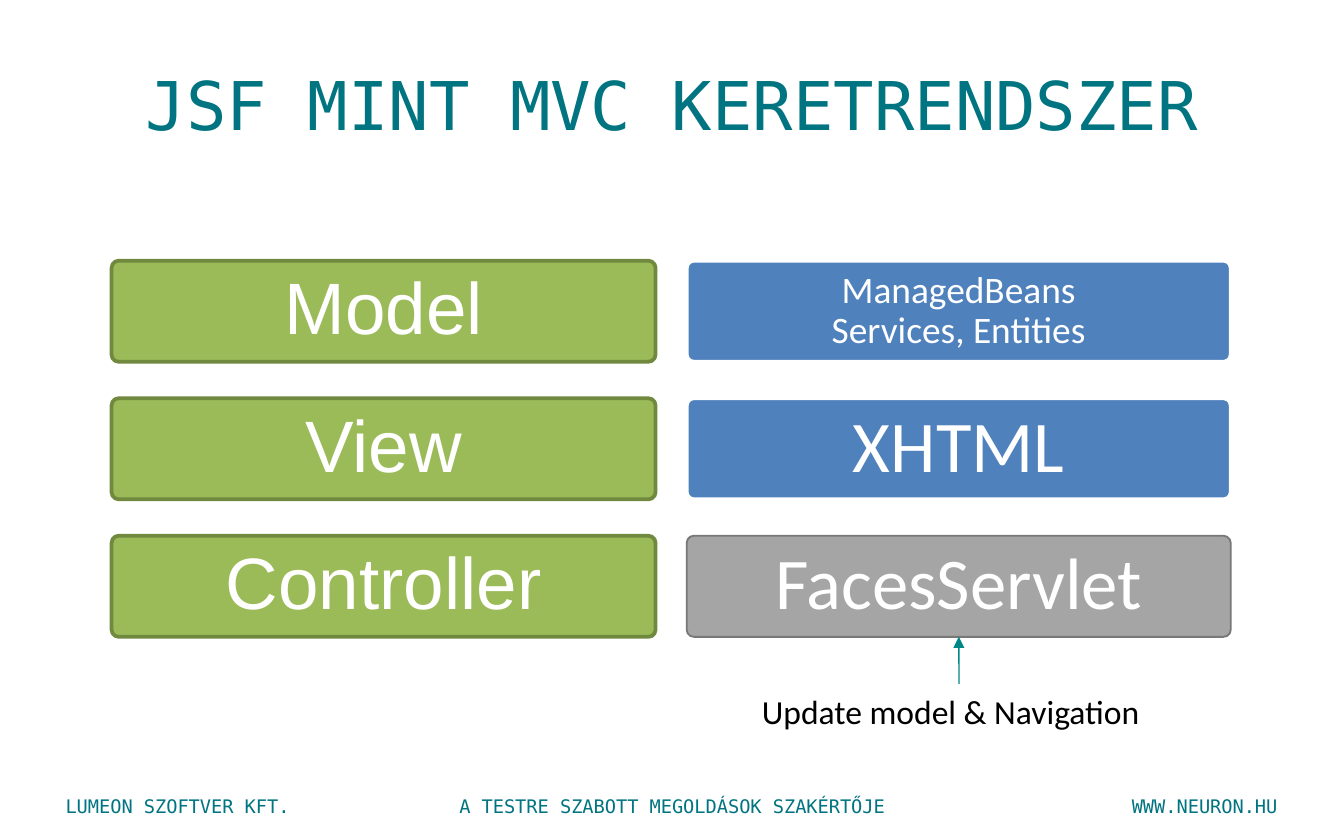
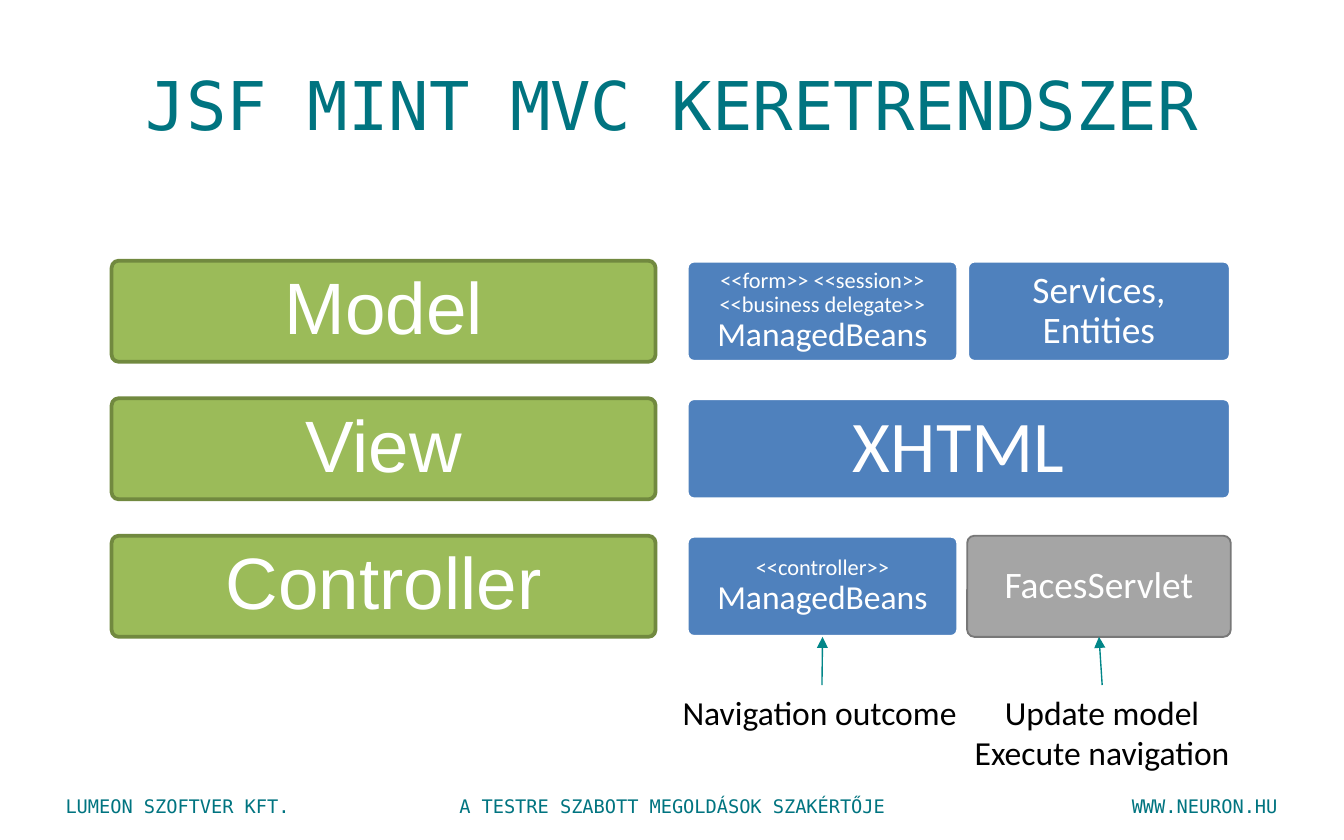
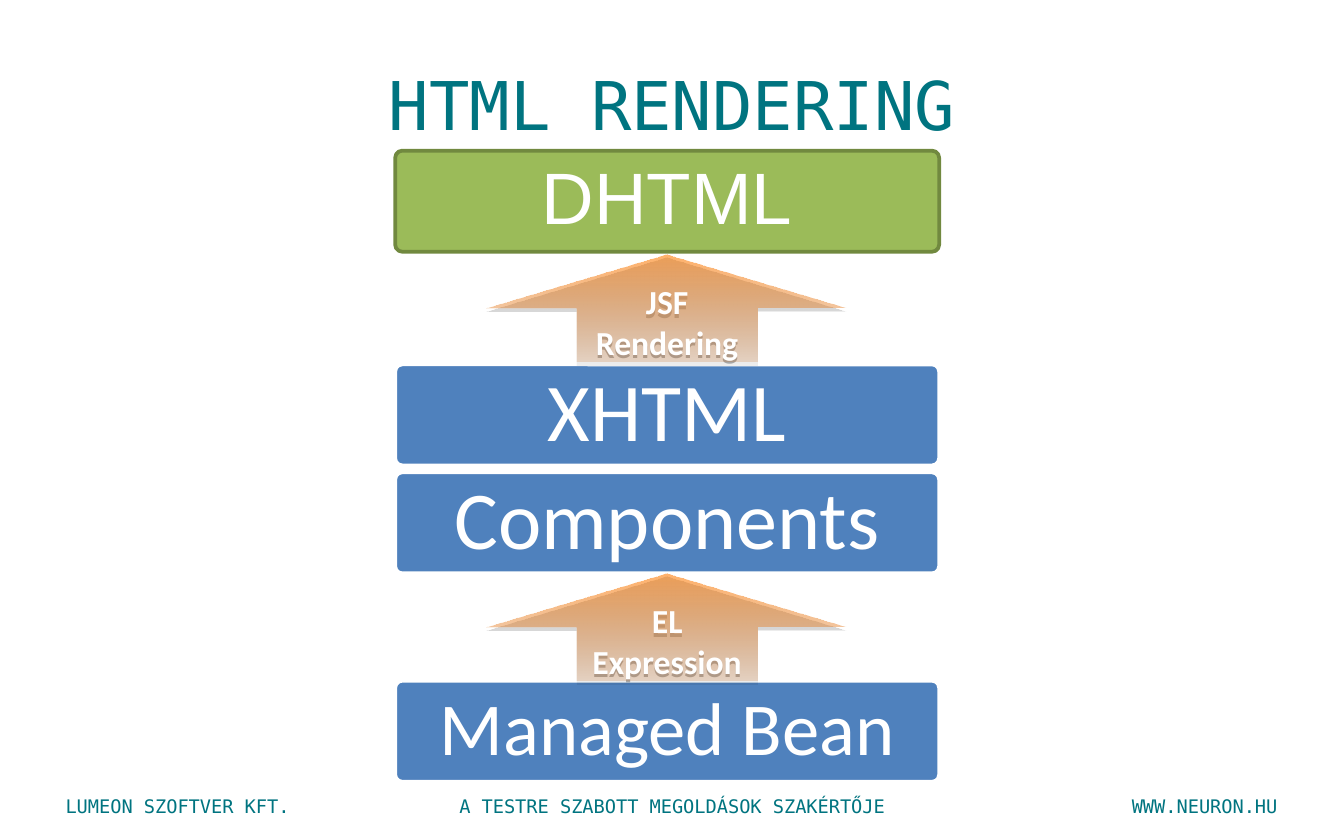
from dataclasses import dataclass

from lxml.etree import SubElement
from pptx import Presentation
from pptx.dml.color import RGBColor
from pptx.enum.shapes import MSO_CONNECTOR, MSO_SHAPE
from pptx.enum.text import MSO_ANCHOR, PP_ALIGN
from pptx.oxml.ns import qn
from pptx.util import Cm, Pt

TEAL = RGBColor(0x00, 0x74, 0x80)
ARROW_TEAL = RGBColor(0x01, 0x86, 0x88)
GREEN = RGBColor(0x9B, 0xBB, 0x59)
DARK_GREEN = RGBColor(0x71, 0x89, 0x3F)
BLUE = RGBColor(0x4F, 0x81, 0xBD)
GRAY = RGBColor(0xA5, 0xA5, 0xA5)
DARK_GRAY = RGBColor(0x78, 0x78, 0x78)
BROWN = RGBColor(0xCB, 0x6C, 0x1D)
ORANGE = RGBColor(0xFF, 0x8F, 0x2A)
WHITE = RGBColor(0xFF, 0xFF, 0xFF)
BLACK = RGBColor(0x00, 0x00, 0x00)

MONO = "DejaVu Sans Mono"
SANS = "Calibri"

# fill, line, line width, font, inset in cm, space after
GREEN_STYLE = (GREEN, DARK_GREEN, 2, "Arial", 0.48, 16)
BLUE_STYLE = (BLUE, WHITE, 2, SANS, 0.53, 18)
GRAY_STYLE = (GRAY, DARK_GRAY, 1, SANS, 0.53, 18)

BLOCK_WIDTH, BLOCK_HEIGHT = 10.28, 1.91
ROW_PITCH = 2.6
ARROW_WIDTH, ARROW_HEIGHT = 6.83, 2.03


@dataclass
class Box:
    """A rectangle in centimetres."""
    left: float
    top: float
    width: float
    height: float

    def lengths(self):
        return Cm(self.left), Cm(self.top), Cm(self.width), Cm(self.height)


def write(shape, *lines, size=18, font=SANS, color=BLACK, bold=False,
          align=PP_ALIGN.CENTER, anchor=MSO_ANCHOR.TOP, wrap=True,
          inset=None, spacing=None, after=None):
    """Write one paragraph; a line is a text, or a (text, size) pair."""
    frame = shape.text_frame
    frame.word_wrap = wrap
    frame.vertical_anchor = anchor
    if inset is not None:
        frame.margin_left = frame.margin_right = Cm(inset)
        frame.margin_top = frame.margin_bottom = Cm(inset)
    para = frame.paragraphs[0]
    para.alignment = align
    if spacing:
        para.line_spacing = spacing
    if after:
        para.space_after = Pt(after)
    for number, line in enumerate(lines):
        text, points = (line, size) if isinstance(line, str) else line
        span = para.add_run()
        span.text = text
        span.font.size = Pt(points)
        span.font.name = font
        span.font.bold = bold
        span.font.color.rgb = color
        if number < len(lines) - 1:
            line_break = SubElement(para._p, qn("a:br"))
            SubElement(line_break, qn("a:rPr"), sz=str(points * 100))


def add_text(page, box, *lines, **text_format):
    shape = page.shapes.add_textbox(*box.lengths())
    write(shape, *lines, **text_format)
    return shape


def add_block(page, box, style, *lines, size=39):
    fill, line, line_width, font, inset, after = style
    block = page.shapes.add_shape(MSO_SHAPE.ROUNDED_RECTANGLE, *box.lengths())
    block.adjustments[0] = 0.07
    block.shadow.inherit = False
    block.fill.solid()
    block.fill.fore_color.rgb = fill
    block.line.color.rgb = line
    block.line.width = Pt(line_width)
    write(block, *lines, size=size, font=font, color=WHITE, inset=inset,
          anchor=MSO_ANCHOR.MIDDLE, spacing=0.9, after=after)
    return block


def add_up_arrow(page, box, text):
    """Add a block arrow that fades towards its foot."""
    arrow = page.shapes.add_shape(MSO_SHAPE.UP_ARROW, *box.lengths())
    arrow.line.fill.background()
    arrow.fill.gradient()
    arrow.fill.gradient_angle = 90
    for stop, color in zip(arrow.fill.gradient_stops, (BROWN, ORANGE)):
        stop.color.rgb = color
    properties = arrow._element.spPr
    for color, opacity in zip(properties.iter(qn("a:srgbClr")), (20, 70)):
        SubElement(color, qn("a:alpha"), val=str(opacity * 1000))
    arrow.shadow.inherit = False
    shadow = SubElement(properties.find(qn("a:effectLst")), qn("a:outerShdw"),
                        blurRad="0", dist=str(Pt(1.8)), dir="5400000",
                        rotWithShape="0")
    shadow_color = SubElement(shadow, qn("a:srgbClr"), val="000000")
    SubElement(shadow_color, qn("a:alpha"), val="35000")
    write(arrow, text, color=WHITE, bold=True, anchor=MSO_ANCHOR.MIDDLE)


def add_caption(page, box, block, *lines, align=PP_ALIGN.LEFT):
    """Add a caption with an arrow from its top to the foot of the block."""
    caption = add_text(page, box, *lines, align=align, wrap=False)
    arrow = page.shapes.add_connector(MSO_CONNECTOR.STRAIGHT, 0, 0, 0, 0)
    arrow.begin_connect(caption, 0)
    arrow.end_connect(block, 2)
    arrow.line.color.rgb = ARROW_TEAL
    arrow.line.width = Pt(0.75)
    SubElement(arrow.line._get_or_add_ln(), qn("a:tailEnd"), type="triangle")
    SubElement(arrow._element.spPr, qn("a:effectLst"))


def add_page(deck, title):
    """Add a page with the shared footer and a title."""
    page = deck.slides.add_slide(deck.slide_layouts[6])
    footers = (
        (0.99, 6, PP_ALIGN.LEFT, "LUMEON SZOFTVER KFT."),
        (18.39, 6, PP_ALIGN.RIGHT, "WWW.NEURON.HU"),
        (8.4, 8.6, PP_ALIGN.CENTER, "A TESTRE SZABOTT MEGOLDÁSOK SZAKÉRTŐJE"),
    )
    for left, width, align, text in footers:
        add_text(page, Box(left, 14.91, width, 0.68), text, size=10,
                 font=MONO, color=TEAL, align=align)
    add_text(page, Box(1.27, 0.64, 22.86, 2.64), title, size=36, font=MONO,
             color=TEAL, anchor=MSO_ANCHOR.MIDDLE)
    return page


def row_box(area, row, offset=0, width=BLOCK_WIDTH):
    return Box(area.left + offset, area.top + row * ROW_PITCH,
               width, BLOCK_HEIGHT)


def left_half(area, row):
    return row_box(area, row, width=5.13)


def right_half(area, row):
    return row_box(area, row, offset=5.3, width=4.98)


def add_layers(page, area):
    for row, name in enumerate(("Model", "View", "Controller")):
        add_block(page, row_box(area, row), GREEN_STYLE, name)


def add_simple_parts(page, area):
    add_block(page, row_box(area, 0), BLUE_STYLE,
              "ManagedBeans", "Services, Entities", size=20)
    add_block(page, row_box(area, 1), BLUE_STYLE, "XHTML")
    servlet = add_block(page, row_box(area, 2), GRAY_STYLE, "FacesServlet")
    add_caption(page, Box(area.left + 1.17, area.top + 8, 7.95, 1.02),
                servlet, "Update model & Navigation")


def add_detailed_parts(page, area):
    add_block(page, left_half(area, 0), BLUE_STYLE,
              ("<<form>> <<session>>", 12), ("<<business delegate>>", 12),
              "ManagedBeans", size=18)
    add_block(page, right_half(area, 0), BLUE_STYLE,
              "Services, Entities", size=20)
    add_block(page, row_box(area, 1), BLUE_STYLE, "XHTML")
    servlet = add_block(page, right_half(area, 2), GRAY_STYLE,
                        "FacesServlet", size=20)
    beans = add_block(page, left_half(area, 2), BLUE_STYLE,
                      ("<<controller>>", 12), "ManagedBeans", size=18)
    add_caption(page, Box(area.left + 5.16, area.top + 8.02, 5.38, 1.8),
                servlet, "Update model", "Execute navigation",
                align=PP_ALIGN.CENTER)
    add_caption(page, Box(area.left - 0.33, area.top + 8.02, 5.77, 1.02),
                beans, "Navigation outcome")


def add_rendering_stack(page, area):
    blocks = (
        (0, GREEN_STYLE, "DHTML", 39),
        (4.04, BLUE_STYLE, "XHTML", 44),
        (6.08, BLUE_STYLE, "Components", 44),
        (10.02, BLUE_STYLE, "Managed Bean", 40),
    )
    for top, style, text, size in blocks:
        add_block(page, Box(area.left, area.top + top, area.width,
                            BLOCK_HEIGHT), style, text, size=size)
    arrow_left = area.left + (area.width - ARROW_WIDTH) / 2
    for top, text in ((1.96, "JSF Rendering"), (7.99, "EL Expression")):
        add_up_arrow(page, Box(arrow_left, area.top + top, ARROW_WIDTH,
                               ARROW_HEIGHT), text)


def main():
    deck = Presentation()
    deck.slide_width = Cm(25.4)
    deck.slide_height = Cm(15.88)

    layers_area = Box(2.11, 4.93, BLOCK_WIDTH, 7.11)
    parts_area = Box(12.98, 4.93, BLOCK_WIDTH, 9.82)
    for add_parts in (add_simple_parts, add_detailed_parts):
        page = add_page(deck, "JSF MINT MVC KERETRENDSZER")
        add_layers(page, layers_area)
        add_parts(page, parts_area)

    page = add_page(deck, "HTML RENDERING")
    add_rendering_stack(page, Box(7.47, 2.85, BLOCK_WIDTH, 11.93))

    deck.save("out.pptx")


if __name__ == "__main__":
    main()
